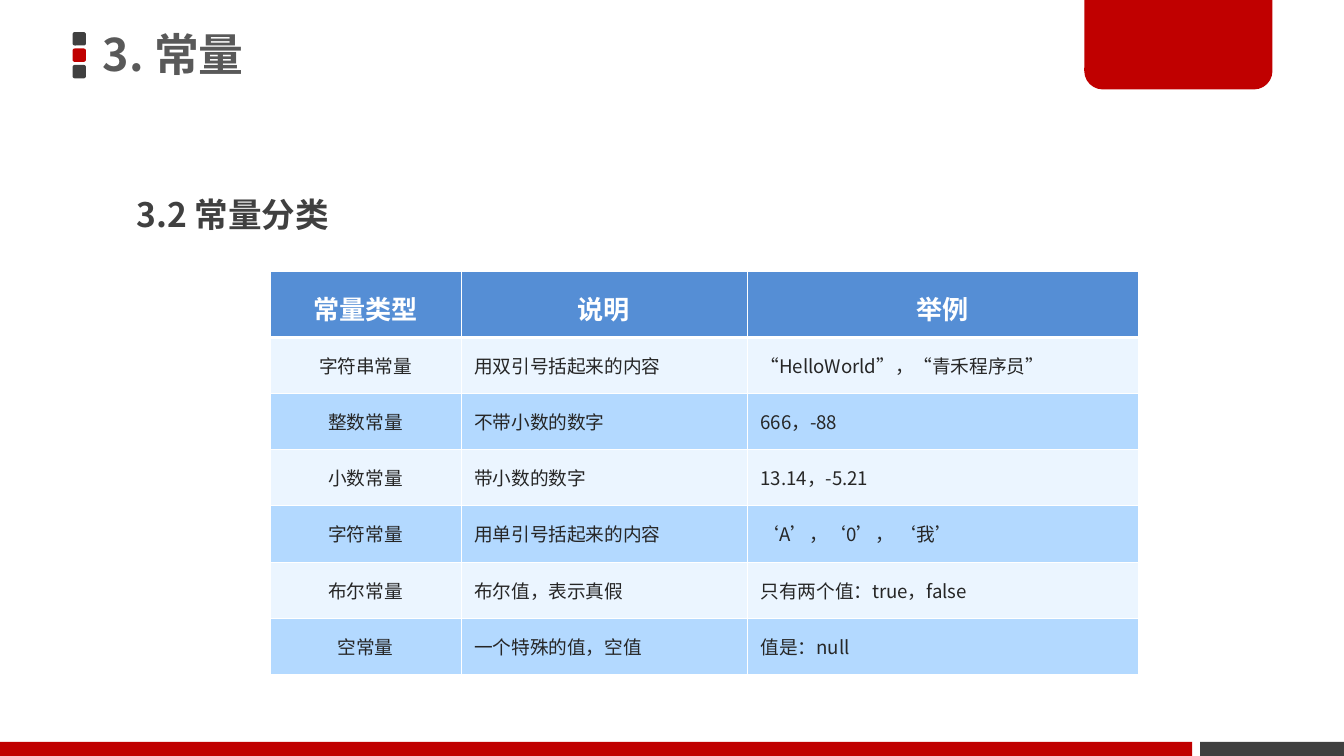
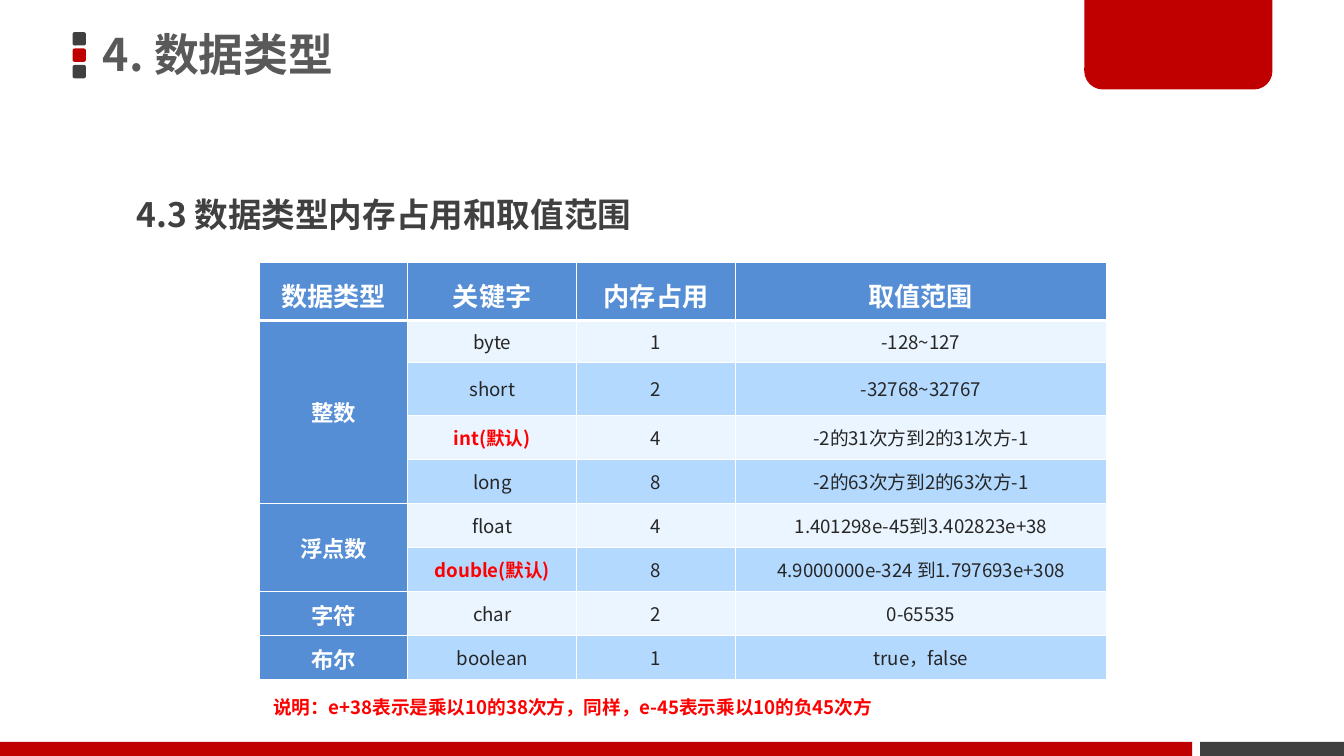
"""Build two slides on constants and data types, each with a table."""
from lxml.etree import SubElement
from pptx import Presentation
from pptx.dml.color import RGBColor
from pptx.enum.shapes import MSO_SHAPE as Shape
from pptx.enum.text import MSO_ANCHOR as Anchor, MSO_AUTO_SIZE as AutoSize, PP_ALIGN as Align
from pptx.oxml.ns import qn
from pptx.util import Pt

FONT = "Noto Sans CJK SC"
RED = RGBColor(0xC0, 0x00, 0x00)
CHARCOAL = RGBColor(0x40, 0x40, 0x40)
TITLE_GRAY = RGBColor(0x59, 0x59, 0x59)
INK = RGBColor(0x26, 0x26, 0x26)
WHITE = RGBColor(0xFF, 0xFF, 0xFF)
HEADER_BLUE = RGBColor(0x55, 0x8E, 0xD5)
BANDS = (RGBColor(0xEB, 0xF5, 0xFF), RGBColor(0xB3, 0xD9, 0xFF))
HIGHLIGHT = RGBColor(0xFF, 0x00, 0x00)
NOTE_RED = RGBColor(0xFD, 0x00, 0x00)
THIN, THICK = 0.45, 1.47

CONSTANTS = [
    ("常量类型", "说明", "举例"),
    ("字符串常量", "用双引号括起来的内容", "“HelloWorld”，“青禾程序员”"),
    ("整数常量", "不带小数的数字", "666，-88"),
    ("小数常量", "带小数的数字", "13.14，-5.21"),
    ("字符常量", "用单引号括起来的内容", "‘A’，‘0’， ‘我’"),
    ("布尔常量", "布尔值，表示真假", "只有两个值：true，false"),
    ("空常量", "一个特殊的值，空值", "值是：null"),
]
DATA_TYPES = [
    ("数据类型", "关键字", "内存占用", "取值范围"),
    ("整数", "byte", "1", "-128~127"),
    ("", "short", "2", "-32768~32767"),
    ("", "int(默认)", "4", "-2的31次方到2的31次方-1"),
    ("", "long", "8", "-2的63次方到2的63次方-1"),
    ("浮点数", "float", "4", "1.401298e-45到3.402823e+38"),
    ("", "double(默认)", "8", "4.9000000e-324 到1.797693e+308"),
    ("字符", "char", "2", "0-65535"),
    ("布尔", "boolean", "1", "true，false"),
]


def style_text(paragraph, size, color, bold=False, align=Align.LEFT, spacing=None):
    """Set the font, alignment and line spacing of a paragraph."""
    font = paragraph.font
    font.name, font.size, font.bold = FONT, Pt(size), bold
    font.color.rgb = color
    defaults = paragraph._p.pPr.find(qn("a:defRPr"))
    SubElement(defaults, qn("a:ea"), typeface=FONT)
    paragraph.alignment = align
    if spacing:
        paragraph.line_spacing = spacing


def add_block(shapes, preset, left, top, width, height, color):
    """Add a flat filled shape without an outline."""
    block = shapes.add_shape(preset, Pt(left), Pt(top), Pt(width), Pt(height))
    block.shadow.inherit = False
    block.fill.solid()
    block.fill.fore_color.rgb = color
    block.line.fill.background()
    return block


def add_frame(slide):
    """Draw the title marker, corner tab and footer bars."""
    marker = slide.shapes.add_group_shape()
    for index, color in enumerate((CHARCOAL, RED, CHARCOAL)):
        add_block(marker.shapes, Shape.ROUNDED_RECTANGLE, 38.9, 17.2 + 8.8 * index, 7.2, 7.2, color)
    add_block(slide.shapes, Shape.RECTANGLE, 643, 397.5, 77, 7.5, CHARCOAL)
    tab = add_block(slide.shapes, Shape.ROUND_2_SAME_RECTANGLE, 580.9, -1.5, 100.8, 49.4, RED)
    tab.adjustments[0], tab.adjustments[1] = 0, 0.2
    add_block(slide.shapes, Shape.RECTANGLE, 0, 397.5, 638.7, 7.5, RED)


def set_title(slide, text):
    """Place and format the title placeholder."""
    title = slide.shapes.title
    title.left, title.top, title.width, title.height = Pt(49.5), Pt(-1.5), Pt(424), Pt(64)
    frame = title.text_frame
    frame.text = text
    frame.word_wrap = True
    frame.auto_size = AutoSize.NONE
    frame.vertical_anchor = Anchor.MIDDLE
    frame.margin_left = frame.margin_right = Pt(5.6)
    frame.margin_top = frame.margin_bottom = Pt(2.8)
    style_text(frame.paragraphs[0], 24, TITLE_GRAY, bold=True, spacing=0.9)


def add_text(slide, text, left, top, width, height, size, color, spacing=None):
    """Add a bold line of text that grows with its content."""
    box = slide.shapes.add_textbox(Pt(left), Pt(top), Pt(width), Pt(height))
    frame = box.text_frame
    frame.text = text
    frame.word_wrap = True
    frame.auto_size = AutoSize.SHAPE_TO_FIT_TEXT
    style_text(frame.paragraphs[0], size, color, bold=True, spacing=spacing)


def set_borders(cell, top, bottom):
    """Give a cell white borders, thin at the sides."""
    properties = cell._tc.get_or_add_tcPr()
    for side, width in (("L", THIN), ("R", THIN), ("T", top), ("B", bottom)):
        line = SubElement(properties, qn(f"a:ln{side}"), w=str(Pt(width)))
        fill = SubElement(line, qn("a:solidFill"))
        SubElement(fill, qn("a:srgbClr"), val=str(WHITE))


def fill_cell(cell, text, row, is_category, align):
    """Write one cell with the look of its row and column."""
    is_header = row == 0
    set_borders(cell, THICK if row == 1 else THIN, THICK if is_header else THIN)
    cell.fill.solid()
    cell.fill.fore_color.rgb = HEADER_BLUE if is_header or is_category else BANDS[(row - 1) % 2]
    cell.vertical_anchor = Anchor.MIDDLE
    cell.text = text
    paragraph = cell.text_frame.paragraphs[0]
    if is_header:
        style_text(paragraph, 14, WHITE, True, Align.CENTER, Pt(24))
    elif is_category:
        style_text(paragraph, 12, WHITE, True, Align.CENTER)
    else:
        is_default = "默认" in text
        style_text(paragraph, 10, HIGHLIGHT if is_default else INK, is_default, align)


def add_grid(slide, rows, left, top, widths, heights, aligns, has_categories=False):
    """Add a banded table, merging each category over the blank cells below."""
    grid = slide.shapes.add_table(len(rows), len(widths), Pt(left), Pt(top),
                                  Pt(sum(widths)), Pt(sum(heights))).table
    grid.horz_banding = False
    for column, width in zip(grid.columns, widths):
        column.width = Pt(width)
    for line, height in zip(grid.rows, heights):
        line.height = Pt(height)
    for row, texts in enumerate(rows):
        for col, text in enumerate(texts):
            fill_cell(grid.cell(row, col), text, row, has_categories and col == 0, aligns[col])
    if has_categories:
        starts = [row for row, texts in enumerate(rows) if texts[0]] + [len(rows)]
        for start, following in zip(starts, starts[1:]):
            if following - start > 1:
                grid.cell(start, 0).merge(grid.cell(following - 1, 0))


def add_topic_slide(deck, title, subtitle, subtitle_width):
    """Add a slide with the shared frame, its title and subtitle."""
    slide = deck.slides.add_slide(deck.slide_layouts[5])
    add_frame(slide)
    set_title(slide, title)
    add_text(slide, subtitle, 66, 89.3, subtitle_width, 39.6, 18, CHARCOAL, 1.5)
    return slide


def main():
    """Build and save the deck."""
    deck = Presentation()
    deck.slide_width, deck.slide_height = Pt(720), Pt(405)

    constants = add_topic_slide(deck, "3. 常量", "3.2 常量分类", 276.5)
    add_grid(constants, CONSTANTS, 144.7, 145.6, (102.2, 153.4, 209.5),
             [35.2] + [30.1] * 6, (Align.CENTER, Align.LEFT, Align.LEFT))

    data_types = add_topic_slide(deck, "4. 数据类型", "4.3 数据类型内存占用和取值范围", 424)
    add_grid(data_types, DATA_TYPES, 139.2, 140.4, (79.2, 90.6, 85, 198.7),
             [31, 22.6, 28.3] + [23.6] * 6, [Align.CENTER] * 4, has_categories=True)
    add_text(data_types, "说明：e+38表示是乘以10的38次方，同样，e-45表示乘以10的负45次方",
             139.2, 369.4, 396.7, 19.4, 10, NOTE_RED)

    deck.save("out.pptx")


if __name__ == "__main__":
    main()
